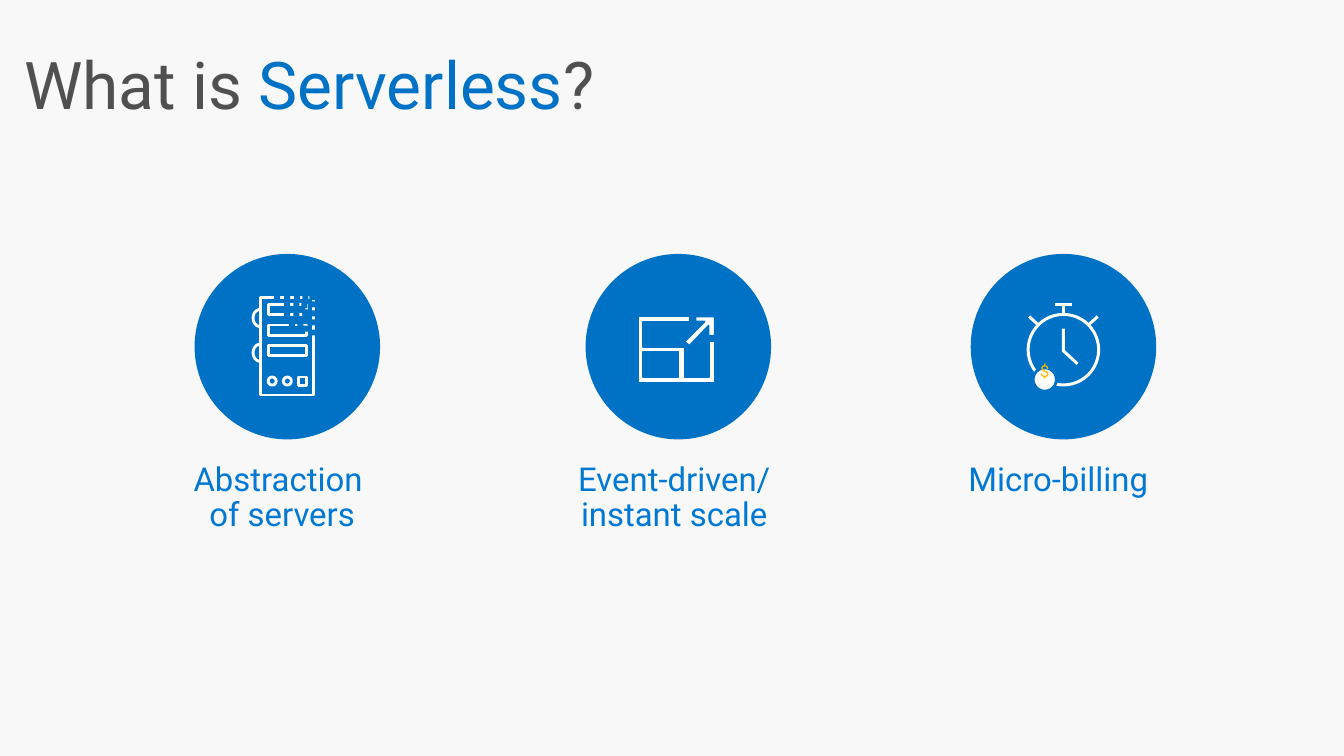
from dataclasses import dataclass
from math import cos, pi, sin
from typing import Callable, NamedTuple

from lxml import etree
from pptx import Presentation
from pptx.dml.color import RGBColor
from pptx.enum.shapes import MSO_CONNECTOR, MSO_SHAPE
from pptx.enum.text import MSO_ANCHOR, MSO_AUTO_SIZE, PP_ALIGN
from pptx.oxml.ns import qn
from pptx.util import Pt

OVAL, RECTANGLE = MSO_SHAPE.OVAL, MSO_SHAPE.RECTANGLE
STRAIGHT = MSO_CONNECTOR.STRAIGHT
LEFT, CENTER = PP_ALIGN.LEFT, PP_ALIGN.CENTER
TOP, MIDDLE = MSO_ANCHOR.TOP, MSO_ANCHOR.MIDDLE
FIT_SHAPE, NO_FIT = MSO_AUTO_SIZE.SHAPE_TO_FIT_TEXT, MSO_AUTO_SIZE.NONE

BACKGROUND = RGBColor(0xF8, 0xF8, 0xF8)
BLUE = RGBColor(0x00, 0x72, 0xC6)
LABEL_BLUE = RGBColor(0x00, 0x78, 0xD4)
GRAY = RGBColor(0x50, 0x50, 0x50)
WHITE = RGBColor(0xFF, 0xFF, 0xFF)
GOLD = RGBColor(0xFF, 0xB9, 0x00)

FONT = "Roboto"
CIRCLE_TOP, CIRCLE_SIZE = 181.4, 132.5
LABEL_TOP = 319
STROKE, WATCH_STROKE = 2, 2.13
PIXEL = 4.3

Point = tuple[float, float]


class Box(NamedTuple):
    left: float
    top: float
    width: float
    height: float


class Run(NamedTuple):
    text: str
    color: RGBColor


@dataclass(frozen=True)
class TextStyle:
    size: float
    insets: tuple[float, float, float, float]
    space_after: float = 0
    align: PP_ALIGN = LEFT
    anchor: MSO_ANCHOR = TOP
    auto_size: MSO_AUTO_SIZE = FIT_SHAPE
    wrap: bool = True


@dataclass(frozen=True)
class Feature:
    label: str
    label_left: float
    label_width: float
    label_height: float
    circle_left: float
    draw_icon: Callable


TITLE_STYLE = TextStyle(47, (7.2, 3.6, 7.2, 3.6), anchor=MIDDLE, auto_size=NO_FIT)
LABEL_STYLE = TextStyle(23.5, (7.2, 11.5, 14.4, 11.5), 12, CENTER)
COIN_STYLE = TextStyle(11.8, (14.4, 11.5, 14.4, 11.5), 5.9, wrap=False)

FRAME_OUTLINE = [
    (506.2, 269.3), (488.9, 269.3), (488.9, 247.7), (459.4, 247.7),
    (459.4, 229.7), (492.5, 229.7), (492.5, 226.1), (455.8, 226.1),
    (455.8, 273.6), (510.5, 273.6), (510.5, 243.4), (506.2, 243.4),
]
FRAME_HOLE = [(459.4, 251.3), (484.6, 251.3), (484.6, 269.3), (459.4, 269.3)]
ARROW_OUTLINE = [
    (496.8, 229.7), (503.3, 229.7), (488.9, 244.1), (492.5, 247), (506.2, 232.6),
    (506.2, 239.8), (510.5, 239.8), (510.5, 226.1), (496.8, 226.1),
]
ERASED_PIXELS = [
    (195.8, 210.2), (203, 209.5), (210.2, 210.2), (216, 209.5), (221, 210.2),
    (203, 214.6), (209.5, 214.6), (215.3, 216), (222.5, 215.3),
    (203, 223.2), (209.5, 222.5), (216, 221), (216, 222.5), (222.5, 221.8),
    (206.6, 230.4), (212.4, 230.4), (216, 232.6), (221.8, 228.2), (221.8, 235.4),
]


def style_shape(shape, fill: RGBColor | None, line: RGBColor | None, width: float) -> None:
    shape.shadow.inherit = False
    if fill is None:
        shape.fill.background()
    else:
        shape.fill.solid()
        shape.fill.fore_color.rgb = fill
    if line is None:
        shape.line.fill.background()
    else:
        shape.line.color.rgb = line
        shape.line.width = Pt(width)


def add_preset(shapes, kind: MSO_SHAPE, box: Box, fill: RGBColor | None = None,
               line: RGBColor | None = None, width: float = STROKE) -> None:
    shape = shapes.add_shape(kind, *map(Pt, box))
    style_shape(shape, fill, line, width)


def add_outline(shapes, contours: list[list[Point]], closed: bool, fill: RGBColor | None,
                line: RGBColor, width: float) -> None:
    """Draw one freeform; contours after the first cut holes."""
    builder = shapes.build_freeform(*map(Pt, contours[0][0]))
    for index, contour in enumerate(contours):
        points = [(Pt(x), Pt(y)) for x, y in contour]
        if index:
            builder.move_to(*points[0])
        builder.add_line_segments(points[1:], close=closed)
    style_shape(builder.convert_to_shape(), fill, line, width)


def add_line(shapes, start: Point, end: Point) -> None:
    connector = shapes.add_connector(STRAIGHT, *map(Pt, start + end))
    connector.line.color.rgb = WHITE
    connector.line.width = Pt(WATCH_STROKE)
    etree.SubElement(connector._element.spPr, qn("a:effectLst"))


def add_text(shapes, box: Box, runs: list[Run], style: TextStyle) -> None:
    frame = shapes.add_textbox(*map(Pt, box)).text_frame
    frame.word_wrap = style.wrap
    frame.auto_size = style.auto_size
    frame.vertical_anchor = style.anchor
    (frame.margin_left, frame.margin_top,
     frame.margin_right, frame.margin_bottom) = map(Pt, style.insets)
    paragraph = frame.paragraphs[0]
    paragraph.alignment = style.align
    paragraph.line_spacing = 0.9
    paragraph.space_after = Pt(style.space_after)
    paragraph.font.name = FONT
    paragraph.font.size = Pt(style.size)
    for index, (text, color) in enumerate(runs):
        for part_index, part in enumerate(text.split("\n")):
            if part_index:
                paragraph.add_line_break()
            run = paragraph.add_run()
            run.text = part
            run.font.color.rgb = color


def draw_server(shapes) -> None:
    """Server tower whose upper right corner dissolves into pixels."""
    body = Box(185.8, 212.4, 38.2, 69.8)
    add_preset(shapes, RECTANGLE, body, line=WHITE)
    for row in range(3):
        add_preset(shapes, RECTANGLE, Box(191.5, 217.4 + row * 14.8, 27.4, 7.2), line=WHITE)
    for center in (227.2, 252):
        angles = [pi / 2 + step * pi / 16 for step in range(17)]
        handle = [(body.left + 5 * cos(angle), center + 6.1 * sin(angle)) for angle in angles]
        add_outline(shapes, [handle], False, None, WHITE, STROKE)
    for column, kind in enumerate((OVAL, OVAL, RECTANGLE)):
        add_preset(shapes, kind, Box(191.5 + column * 10.8, 269.3, 5.8, 5.8), line=WHITE)
    for left, top in ERASED_PIXELS:
        add_preset(shapes, RECTANGLE, Box(left, top, PIXEL, PIXEL), fill=BLUE)


def draw_scale(shapes) -> None:
    """Small frame growing into a large one along an arrow."""
    for contours in ([FRAME_OUTLINE, FRAME_HOLE], [ARROW_OUTLINE]):
        add_outline(shapes, contours, True, WHITE, BLUE, 1.25)


def draw_stopwatch(shapes) -> None:
    """Stopwatch with a coin at its lower left."""
    center, dial_top, crown_top = 759.6, 224.6, 217.4
    hands = [(center, 234.7), (center, 250.6), (769.7, 259.9)]
    add_outline(shapes, [hands], False, None, WHITE, WATCH_STROKE)
    add_preset(shapes, OVAL, Box(center - 25.2, dial_top, 50.4, 50.4),
               line=WHITE, width=WATCH_STROKE)
    add_line(shapes, (center - 5.8, crown_top), (center + 5.8, crown_top))
    add_line(shapes, (center, dial_top), (center, crown_top))
    for side in (1, -1):
        add_line(shapes, (center + side * 24.5, 226.1), (center + side * 17.3, 232.6))
    add_preset(shapes, OVAL, Box(738, 262.8, 16.6, 16.6), fill=WHITE, line=BLUE)
    add_text(shapes, Box(728.6, 253.4, 35.3, 35.3), [Run("$", GOLD)], COIN_STYLE)


FEATURES = [
    Feature("Abstraction \nof servers", 103.7, 203, 74.9, 139, draw_server),
    Feature("Event-driven/ instant scale", 380.2, 210.2, 74.9, 418.3, draw_scale),
    Feature("Micro-billing", 663.1, 193, 49, 693.4, draw_stopwatch),
]


def main() -> None:
    presentation = Presentation()
    presentation.slide_width, presentation.slide_height = Pt(960), Pt(540)
    slide = presentation.slides.add_slide(presentation.slide_layouts[6])
    slide.background.fill.solid()
    slide.background.fill.fore_color.rgb = BACKGROUND
    title = [Run("What is ", GRAY), Run("Serverless", BLUE), Run("?", GRAY)]
    add_text(slide.shapes, Box(10.1, 10.8, 828, 104.4), title, TITLE_STYLE)
    for feature in FEATURES:
        label_box = Box(feature.label_left, LABEL_TOP, feature.label_width, feature.label_height)
        add_text(slide.shapes, label_box, [Run(feature.label, LABEL_BLUE)], LABEL_STYLE)
        icon = slide.shapes.add_group_shape().shapes
        add_preset(icon, OVAL, Box(feature.circle_left, CIRCLE_TOP, CIRCLE_SIZE, CIRCLE_SIZE),
                   fill=BLUE)
        feature.draw_icon(icon)
    presentation.save("out.pptx")


if __name__ == "__main__":
    main()
